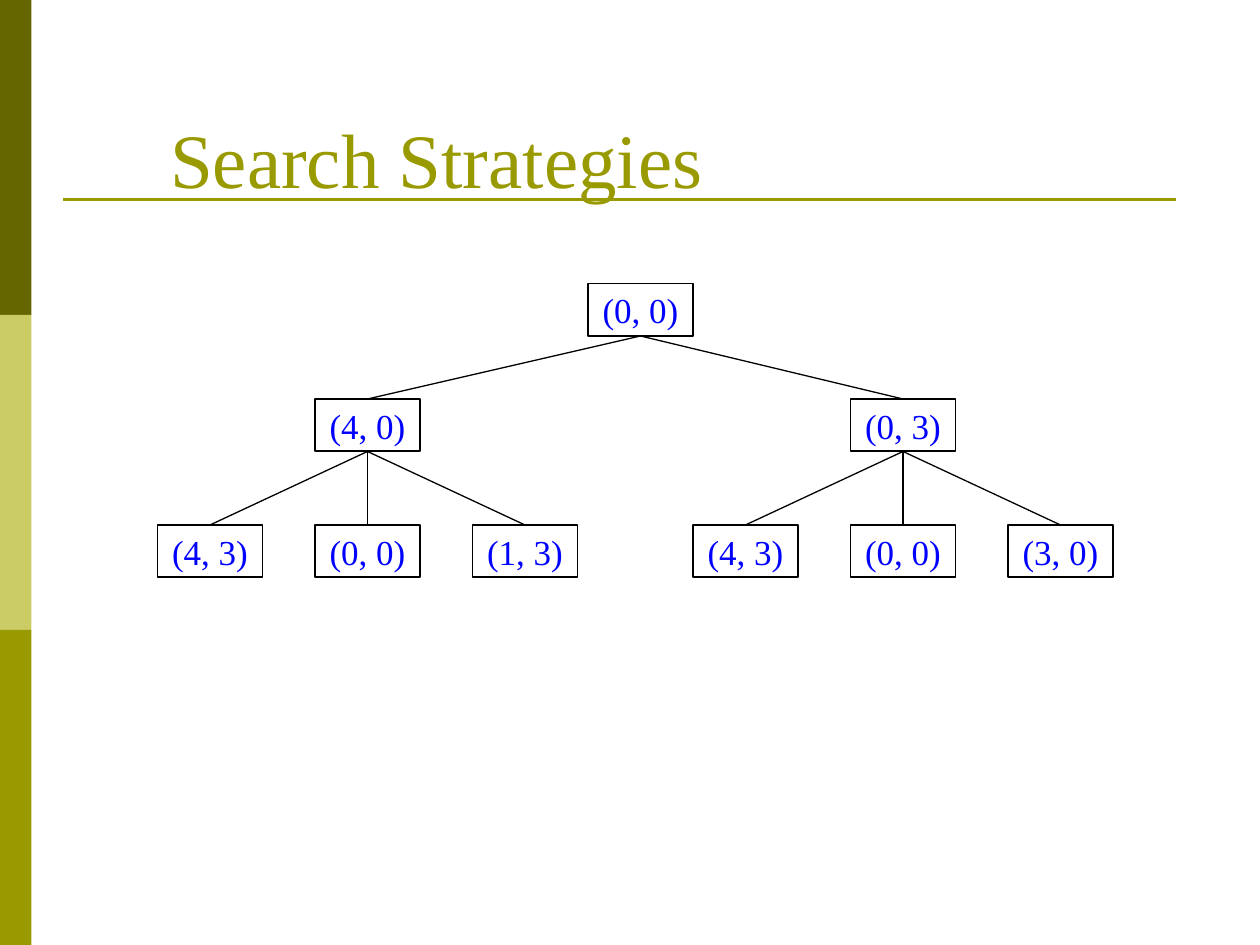
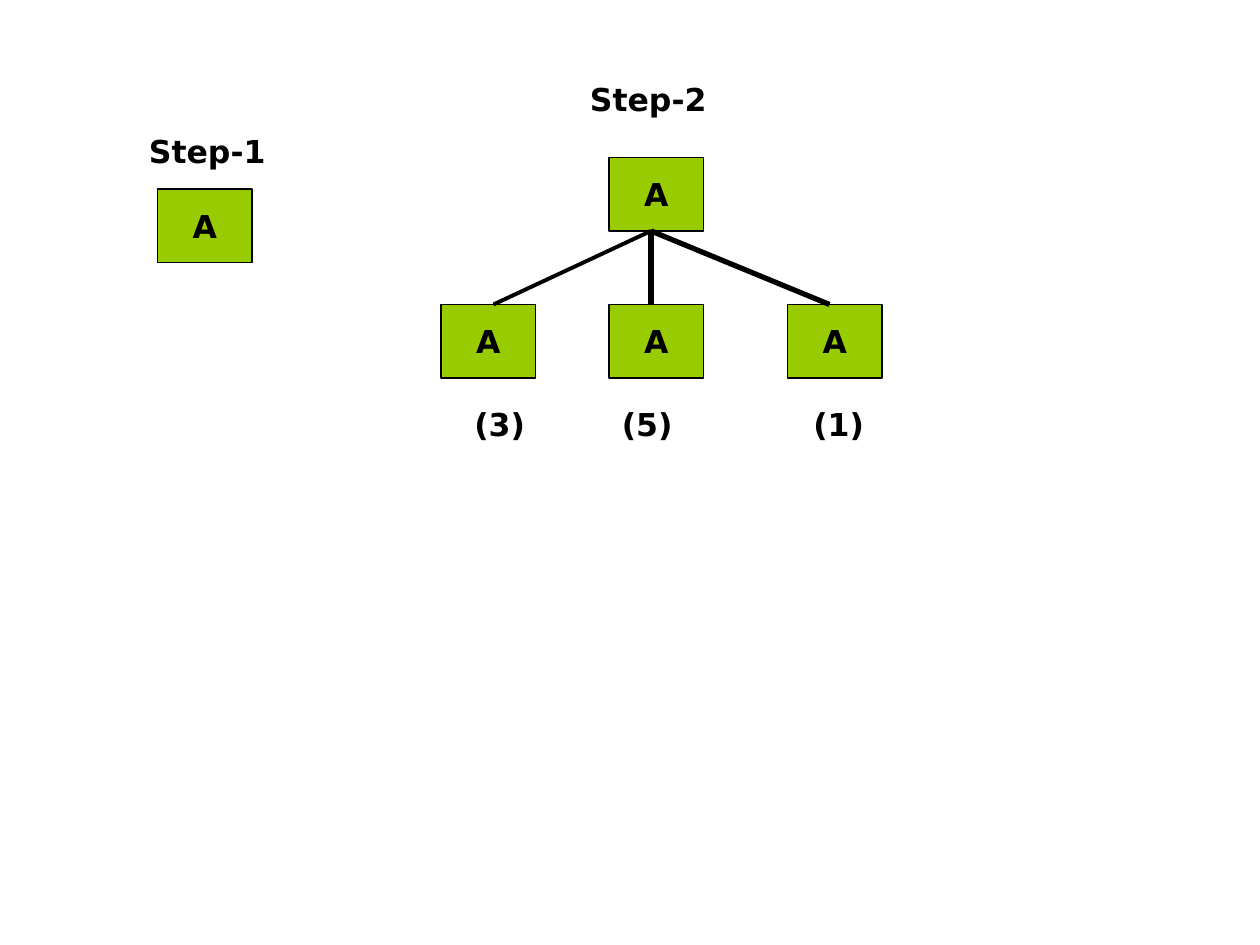
"""Build two slides that show search trees."""
from lxml.etree import SubElement
from pptx import Presentation
from pptx.dml.color import RGBColor
from pptx.enum.shapes import MSO_CONNECTOR as Conn, MSO_SHAPE as Form
from pptx.enum.text import MSO_ANCHOR as Anchor, MSO_AUTO_SIZE as Fit, PP_ALIGN as Align
from pptx.oxml.ns import qn
from pptx.util import Inches, Pt

TITLE = "Search Strategies"
BANDS = ["666600", "CCCC66", "999900"]
OLIVE, BLACK, BLUE, GREEN = "999900", "000000", "0000FF", "99CC00"
SERIF, SANS = "Times New Roman", "DejaVu Sans"

# Places are in twelfths of an inch: text, column, row, children.
STATES = ("(0, 0)", 56, 27, [
    ("(4, 0)", 30, 38, [("(4, 3)", 15, 50, []), ("(0, 0)", 30, 50, []), ("(1, 3)", 45, 50, [])]),
    ("(0, 3)", 81, 38, [("(4, 3)", 66, 50, []), ("(0, 0)", 81, 50, []), ("(3, 0)", 96, 50, [])]),
])
START = ("A", 15, 18)
ROOT = ("A", 58, 15)
KIDS = [("A", 42, 29), ("A", 58, 29), ("A", 75, 29)]
EDGES = [(62, 3), (47, 2.25), (79, 3)]
STEPS = [("Step-1", 13, 12), ("Step-2", 55, 7)]
COSTS = ("(3)\t(5)\t(1)", 44, 38)
STOPS = [1.17, 2.69]


def unit(count):
    return Inches(count / 12)


def tint(code):
    return RGBColor.from_string(code)


def style(para, size, face, color, bold=False):
    font = para.font
    font.size, font.name, font.bold = Pt(size), face, bold
    font.color.rgb = tint(color)


def rect(slide, left, top, wide, high, fill=None, line=None):
    shape = slide.shapes.add_shape(Form.RECTANGLE, *map(unit, (left, top, wide, high)))
    shape.shadow.inherit = False
    if fill:
        shape.fill.solid()
        shape.fill.fore_color.rgb = tint(fill)
    else:
        shape.fill.background()
    if line:
        shape.line.color.rgb, shape.line.width = tint(BLACK), Pt(line)
    else:
        shape.line.fill.background()
    return shape


def node(slide, text, left, top, size, font, fill=None, line=1):
    frame = rect(slide, left, top, *size, fill, line).text_frame
    frame.word_wrap, frame.vertical_anchor = False, Anchor.MIDDLE
    para = frame.paragraphs[0]
    para.text, para.alignment = text, Align.CENTER
    style(para, *font)


def link(slide, start, end, width=0.75, color=BLACK):
    line = slide.shapes.add_connector(Conn.STRAIGHT, *map(unit, (*start, *end)))
    line.line.color.rgb, line.line.width = tint(color), Pt(width)
    SubElement(line._element.spPr, qn("a:effectLst"))


def label(slide, text, left, top, wide, stops=()):
    frame = slide.shapes.add_textbox(*map(unit, (left, top, wide, 4.8))).text_frame
    frame.word_wrap = True
    para = frame.paragraphs[0]
    para.text = text
    if stops:
        tabs = SubElement(para._p.get_or_add_pPr(), qn("a:tabLst"))
        for stop in stops:
            SubElement(tabs, qn("a:tab"), pos=str(Inches(stop)), algn="l")
    style(para, 18, SANS, BLACK, True)


def frame_slide(slide):
    for row, color in enumerate(BANDS):
        rect(slide, 0, 30 * row, 3, 30, color)
    link(slide, (6, 19), (112, 19), 1.5, OLIVE)
    head = slide.shapes.title
    head.left, head.top, head.width, head.height = map(unit, (15, 5, 105, 15))
    frame = head.text_frame
    frame.vertical_anchor, frame.auto_size = Anchor.BOTTOM, Fit.NONE
    para = frame.paragraphs[0]
    para.text, para.alignment = TITLE, Align.LEFT
    style(para, 44, SERIF, OLIVE)


def tree(slide, item, wide=10, high=5):
    text, left, top, kids = item
    node(slide, text, left, top, (wide, high), (20, SERIF, BLUE))
    for kid in kids:
        tree(slide, kid)
        link(slide, (left + wide / 2, top + high), (kid[1] + wide / 2, kid[2]))


def steps(slide, wide=9, high=7):
    for item in [START, ROOT, *KIDS]:
        node(slide, *item, (wide, high), (18, SANS, BLACK, True), GREEN, 0.75)
    for end, width in EDGES:
        link(slide, (EDGES[0][0], ROOT[2] + high), (end, KIDS[0][2]), width)
    for item in STEPS:
        label(slide, *item, 21)
    label(slide, *COSTS, 42, STOPS)


def main():
    deck = Presentation()
    deck.slide_width, deck.slide_height = Inches(10), Inches(7.5)
    first = deck.slides.add_slide(deck.slide_layouts.get_by_name("Title Only"))
    frame_slide(first)
    tree(first, STATES)
    steps(deck.slides.add_slide(deck.slide_layouts.get_by_name("Blank")))
    deck.save("out.pptx")


if __name__ == "__main__":
    main()
